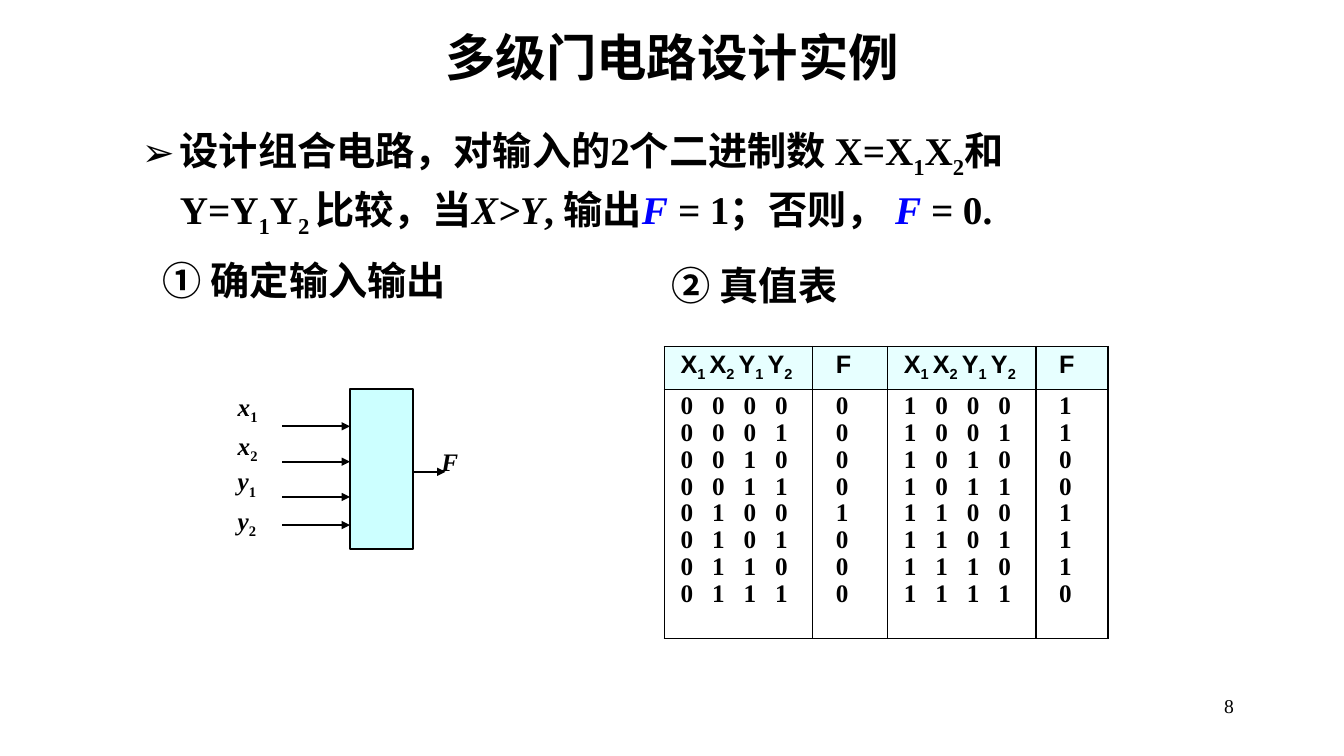
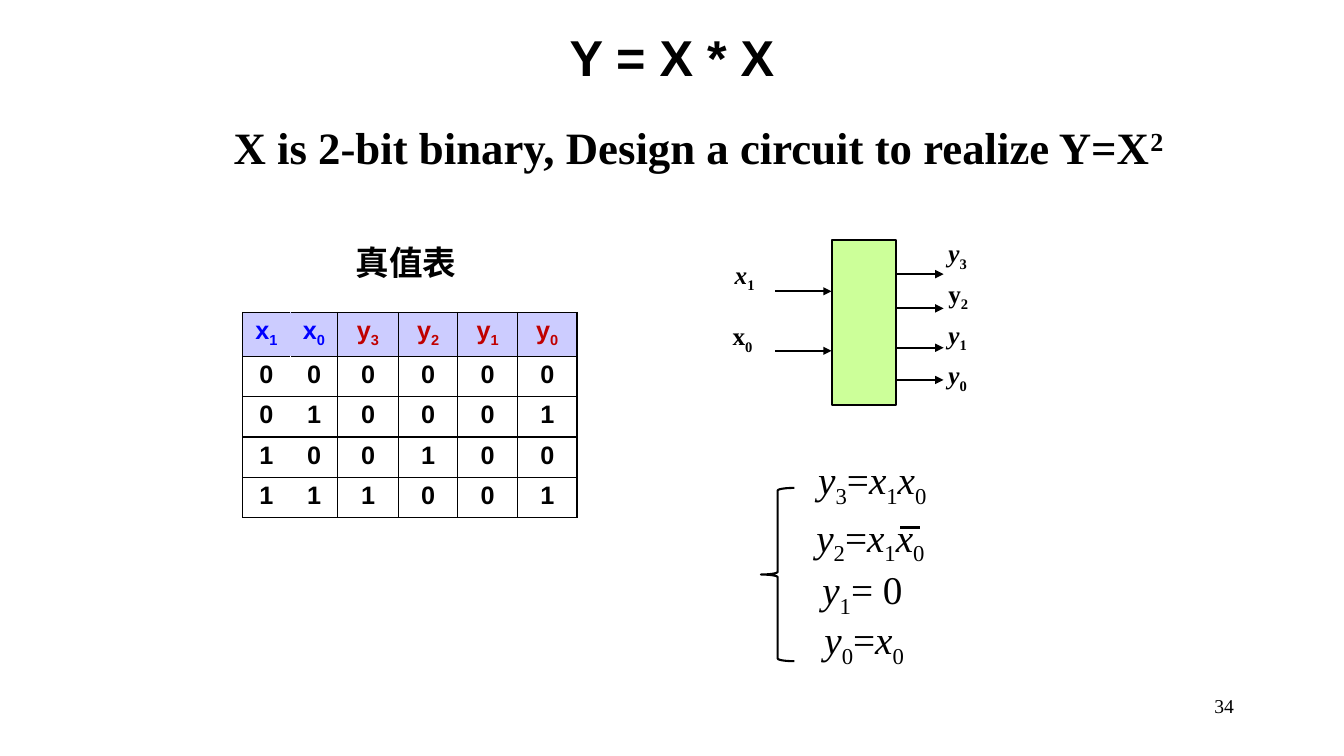
"""Build two slides on multi-level gate circuit design."""
import pptx
import pptx.dml.color
import pptx.enum.shapes
import pptx.enum.text
import pptx.oxml.ns
import pptx.util
from lxml import etree

Pt = pptx.util.Pt
RGBColor = pptx.dml.color.RGBColor
Shape = pptx.enum.shapes.MSO_SHAPE
Align = pptx.enum.text.PP_ALIGN
Anchor = pptx.enum.text.MSO_ANCHOR
qn = pptx.oxml.ns.qn

BLACK = RGBColor(0x00, 0x00, 0x00)
WHITE = RGBColor(0xFF, 0xFF, 0xFF)
BLUE = RGBColor(0x00, 0x00, 0xFF)
RED = RGBColor(0xC0, 0x00, 0x00)
CYAN = RGBColor(0xCC, 0xFF, 0xFF)
PALE_CYAN = RGBColor(0xE7, 0xFF, 0xFF)
LIME = RGBColor(0xCC, 0xFF, 0x99)
LILAC = RGBColor(0xCC, 0xCC, 0xFF)

SERIF = "Times New Roman"
SANS = "Arial"
CHINESE = "Noto Sans CJK SC"
BASELINES = {"s": "-25000", "u": "30000"}


def add_node(parent, tag, **attributes):
    """Append a drawing element with the given attributes."""
    return etree.SubElement(parent, qn(tag), attributes)


def symbol(letter, index, marks="bi"):
    """Return the runs of a variable with a subscript."""
    return [(letter, marks), (index, marks.replace("i", "") + "s")]


class Board:
    """Hold the shared style and the current slide."""

    def __init__(self):
        """Start an empty widescreen deck."""
        self.deck = pptx.Presentation()
        self.deck.slide_width = Pt(960)
        self.deck.slide_height = Pt(540)
        self.page = None

    def start(self, title, font, number):
        """Add a slide with its title and number."""
        self.page = self.deck.slides.add_slide(self.deck.slide_layouts[6])
        self.text(72, 14.4, 816, 52, [(title, "b")], 36, font, Align.CENTER, Anchor.MIDDLE)
        self.text(688.3, 491.8, 200.2, 36, [(number, "")], 14, align=Align.RIGHT)

    def add_runs(self, para, runs, size, font=SERIF, color=BLACK):
        """Add runs whose marks are b, i, s (sub), u (super) and k (blue)."""
        for text, marks in runs:
            span = para.add_run()
            span.text = text
            span.font.size = Pt(size)
            span.font.bold = "b" in marks
            span.font.italic = "i" in marks
            span.font.color.rgb = BLUE if "k" in marks else color
            span.font.name = font
            properties = span._r.get_or_add_rPr()
            add_node(properties, "a:ea", typeface=CHINESE)
            for mark, offset in BASELINES.items():
                if mark in marks:
                    properties.set("baseline", offset)

    def text(self, left, top, width, height, runs, size, font=SERIF,
             align=Align.LEFT, anchor=Anchor.TOP):
        """Add a text box and return its paragraph."""
        box = self.page.shapes.add_textbox(Pt(left), Pt(top), Pt(width), Pt(height))
        frame = box.text_frame
        frame.word_wrap = True
        frame.vertical_anchor = anchor
        para = frame.paragraphs[0]
        para.alignment = align
        self.add_runs(para, runs, size, font)
        return para

    def bullet(self, left, top, width, height, runs, size):
        """Add a text box with an arrow bullet."""
        para = self.text(left, top, width, height, runs, size)
        properties = para._p.get_or_add_pPr()
        properties.set("marL", str(Pt(27)))
        properties.set("indent", str(-Pt(27)))
        add_node(properties, "a:buFont", typeface=SANS)
        add_node(properties, "a:buChar", char="➢")
        para.line_spacing = 1.1

    def label(self, left, top, runs):
        """Add a signal name."""
        self.text(left, top, 60, 40, runs, 18)

    def shape(self, kind, left, top, width, height, fill=None):
        """Add an outlined preset shape."""
        shape = self.page.shapes.add_shape(kind, Pt(left), Pt(top), Pt(width), Pt(height))
        shape.shadow.inherit = False
        if fill is None:
            shape.fill.background()
        else:
            shape.fill.solid()
            shape.fill.fore_color.rgb = fill
        shape.line.color.rgb = BLACK
        shape.line.width = Pt(1.5)
        return shape

    def wire(self, start, end, level, weight=1.5, arrow=True):
        """Add a horizontal line, with an arrowhead if wanted."""
        line = self.page.shapes.add_connector(
            pptx.enum.shapes.MSO_CONNECTOR.STRAIGHT, Pt(start), Pt(level), Pt(end), Pt(level))
        line.line.color.rgb = BLACK
        line.line.width = Pt(weight)
        if arrow:
            add_node(line.line._get_or_add_ln(), "a:tailEnd", type="triangle")
        add_node(line._element.spPr, "a:effectLst")

    def table(self, left, top, widths, heights):
        """Add a plain table with the given column and row sizes."""
        frame = self.page.shapes.add_table(
            len(heights), len(widths), Pt(left), Pt(top), Pt(sum(widths)), Pt(sum(heights)))
        table = frame.table
        table.first_row = table.horz_banding = False
        for column, width in zip(table.columns, widths):
            column.width = Pt(width)
        for row, height in zip(table.rows, heights):
            row.height = Pt(height)
        return table

    def cell(self, cell, lines, font, fill=WHITE, color=BLACK, inset=7.2,
             align=Align.LEFT, open_sides="", tabs=(), spacing=1.0):
        """Fill one cell, hiding the borders of its open sides."""
        properties = cell._tc.get_or_add_tcPr()
        for side in "LRTB":
            border = add_node(properties, "a:ln" + side, w=str(Pt(1)))
            paint = add_node(border, "a:solidFill")
            shade = fill if side in open_sides else BLACK
            add_node(paint, "a:srgbClr", val=str(shade))
        cell.fill.solid()
        cell.fill.fore_color.rgb = fill
        cell.margin_left = Pt(inset)
        cell.margin_top = cell.margin_bottom = Pt(3)
        for index, runs in enumerate(lines):
            frame = cell.text_frame
            para = frame.add_paragraph() if index else frame.paragraphs[0]
            if tabs:
                stops = add_node(para._p.get_or_add_pPr(), "a:tabLst")
                for stop in tabs:
                    add_node(stops, "a:tab", pos=str(Pt(stop)), algn="l")
            para.alignment = align
            para.line_spacing = spacing
            self.add_runs(para, runs, 18, font, color)


def comparator_slide(board):
    """Draw the two-bit comparator example."""
    board.start("多级门电路设计实例", CHINESE, "8")
    board.bullet(94.3, 82.8, 714.2, 85, [
        ("设计组合电路，对输入的2个二进制数 X=X", "b"), ("1", "bs"), ("X", "b"), ("2", "bs"),
        ("和Y=Y", "b"), ("1", "bs"), ("Y", "b"), ("2 ", "bs"), ("比较，当", "b"),
        ("X>Y", "bi"), (", 输出", "b"), ("F", "bik"), (" =", "bi"), (" 1；否则，", "b"),
        (" F", "bik"), (" =", "bi"), (" 0.", "b")], 28)
    board.text(109.2, 179.3, 257, 35, [("① 确定输入输出", "b")], 28)
    board.text(472.8, 182.9, 150, 37, [("② 真值表", "b")], 28)

    board.shape(Shape.RECTANGLE, 250, 278, 45, 114, CYAN)
    inputs = [("x", "1", 275.8, 304.5), ("x", "2", 303.8, 329.8),
              ("y", "1", 329, 355), ("y", "2", 357.1, 375.1)]
    for letter, index, top, level in inputs:
        board.label(162.7, top, symbol(letter, index))
        board.wire(201.6, 250, level)
    board.wire(295, 318.2, 337)
    board.label(308.2, 315.4, [("F", "bi")])

    table = board.table(474.5, 247.5, [106, 53.5, 106, 51.5], [30, 178])
    heading = [("X", "b"), ("1 ", "bs"), ("X", "b"), ("2 ", "bs"),
               ("Y", "b"), ("1 ", "bs"), ("Y", "b"), ("2", "bs")]
    for half, outputs in enumerate(["00001000", "11001110"]):
        codes = [f"{half * 8 + step:04b}" for step in range(8)]
        columns = [(heading, ["\t".join(code) for code in codes], 11.7),
                   ([("F", "b")], outputs, 16.5)]
        for offset, (title, values, inset) in enumerate(columns):
            column = half * 2 + offset
            board.cell(table.cell(0, column), [title], SANS, PALE_CYAN, inset=inset)
            board.cell(table.cell(1, column), [[(value, "b")] for value in values], SERIF,
                       inset=inset, tabs=(22.5, 45, 67.5), spacing=0.96)


def square_slide(board):
    """Draw the two-bit squaring example."""
    board.start("Y = X * X", SANS, "34")
    board.text(159.8, 82.1, 705.6, 57.6, [
        ("X is 2-bit binary, Design a circuit to realize Y=X", "b"), ("2", "bu")], 32)
    board.text(247, 169.2, 103, 36, [("真值表", "b")], 24, CHINESE)

    outputs = [("3", "bi", 166.3, 195.8), ("2", "b", 195.1, 220.3),
               ("1", "bi", 224.6, 248.4), ("0", "bi", 253.4, 271.4)]
    for index, marks, top, level in outputs:
        board.label(670.3, top, symbol("y", index, marks))
        board.wire(640, 674, level)
    inputs = [("1", "bi", 517.7, 181.4, 208.1), ("0", "b", 516.2, 225.4, 250.6)]
    for index, marks, left, top, level in inputs:
        board.label(left, top, symbol("x", index, marks))
        board.wire(553.7, 594, level)
    board.shape(Shape.RECTANGLE, 594, 171.4, 46, 118, LIME)

    table = board.table(173.3, 223.2, [34, 34, 43.2, 42.6, 42.6, 42.6], [31.2] + [28.9] * 4)
    open_sides = {0: "R", 1: "L"}
    for column, name in enumerate(["x1", "x0", "y3", "y2", "y1", "y0"]):
        sides = open_sides.get(column, "")
        board.cell(table.cell(0, column), [symbol(*name, "b")], SANS, LILAC,
                   BLUE if name[0] == "x" else RED, align=Align.CENTER, open_sides=sides)
        for value in range(4):
            bits = f"{value:02b}{value * value:04b}"
            board.cell(table.cell(value + 1, column), [[(bits[column], "b")]], SANS,
                       align=Align.CENTER, open_sides=sides)

    equals = [("=", "")]
    x_one, x_zero = symbol("x", "1", "i"), symbol("x", "0", "i")
    equations = [("3", 577.4, 321.8, equals + x_one + x_zero),
                 ("2", 576, 362.9, equals + x_one + x_zero),
                 ("1", 580.3, 400.3, [("= 0", "")]),
                 ("0", 581.8, 436.3, equals + x_zero)]
    for index, left, top, value in equations:
        board.text(left, top, 155, 53, symbol("y", index, "i") + value, 28)
    board.wire(643, 657.4, 376.6, 2.25, arrow=False)
    brace = board.shape(Shape.LEFT_BRACE, 543.6, 348.5, 23.8, 123.8)
    brace.adjustments[0] = 0.08


def main():
    """Build and save the deck."""
    board = Board()
    comparator_slide(board)
    square_slide(board)
    board.deck.save("out.pptx")


if __name__ == "__main__":
    main()
